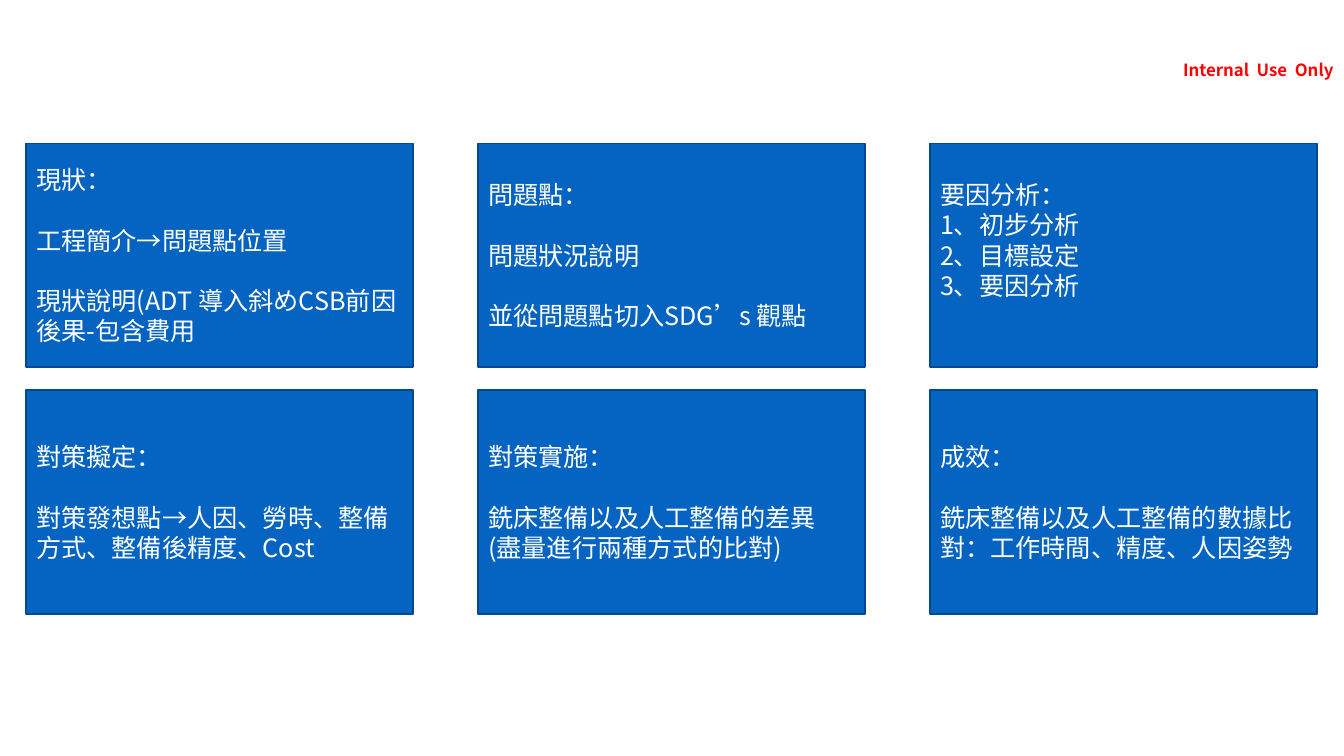
from lxml.etree import SubElement
from pptx import Presentation
from pptx.dml.color import RGBColor
from pptx.enum.shapes import MSO_SHAPE
from pptx.enum.text import MSO_ANCHOR, PP_ALIGN
from pptx.oxml.ns import qn
from pptx.util import Cm, Pt

FONT = "Noto Sans CJK SC"
COLORS = {"fill": "0563C1", "border": "04498F", "text": "FFFFFF", "notice": "FF0000"}
COLUMNS = 3
LEFT, TOP = 0.66, 3.61
WIDTH, HEIGHT = 9.75, 5.64
COLUMN_STEP, ROW_STEP = 11.39, 6.22
GROUP_GAP = Pt(21.6)
BOTTOM_INSET = 0.13

STEPS = [
    ([["現狀："], ["工程簡介→問題點位置"],
      ["現狀說明(ADT 導入斜めCSB前因", "後果-包含費用"]], BOTTOM_INSET),
    ([["問題點："], ["問題狀況說明"], ["並從問題點切入SDG’s 觀點"]], BOTTOM_INSET),
    ([["要因分析：", "1、初步分析", "2、目標設定", "3、要因分析"]], 0.89),
    ([["對策擬定："], ["對策發想點→人因、勞時、整備方式、整備後精度、Cost"]], BOTTOM_INSET),
    ([["對策實施："], ["銑床整備以及人工整備的差異", "(盡量進行兩種方式的比對)"]], BOTTOM_INSET),
    ([["成效："], ["銑床整備以及人工整備的數據比對：工作時間、精度、人因姿勢"]], BOTTOM_INSET),
]


def color(name):
    return RGBColor.from_string(COLORS[name])


def write_paragraph(para, text, size, color_name, align, bold=False):
    para.text = text
    para.alignment = align
    font = para.font
    font.size = Pt(size)
    font.bold = bold
    font.color.rgb = color(color_name)
    font.name = FONT
    properties = para._p.pPr.find(qn("a:defRPr"))
    SubElement(properties, qn("a:ea")).set("typeface", FONT)


def add_notice(page):
    box = page.shapes.add_textbox(Cm(29.46), Cm(1.37), Cm(4.5), Cm(0.76))
    frame = box.text_frame
    frame.word_wrap = False
    frame.vertical_anchor = MSO_ANCHOR.MIDDLE
    write_paragraph(frame.paragraphs[0], "Internal  Use  Only", 12, "notice",
                    PP_ALIGN.CENTER, bold=True)


def add_step(page, left, top, groups, bottom_inset):
    box = page.shapes.add_shape(MSO_SHAPE.RECTANGLE, Cm(left), Cm(top), Cm(WIDTH), Cm(HEIGHT))
    box.shadow.inherit = False
    box.fill.solid()
    box.fill.fore_color.rgb = color("fill")
    box.line.color.rgb = color("border")
    box.line.width = Pt(1)
    frame = box.text_frame
    frame.word_wrap = True
    frame.vertical_anchor = MSO_ANCHOR.MIDDLE
    frame.margin_bottom = Cm(bottom_inset)
    for group_index, lines in enumerate(groups):
        for line_index, text in enumerate(lines):
            first = group_index == line_index == 0
            para = frame.paragraphs[0] if first else frame.add_paragraph()
            write_paragraph(para, text, 18, "text", PP_ALIGN.LEFT)
            if group_index and line_index == 0:
                para.space_before = GROUP_GAP


def main():
    deck = Presentation()
    deck.slide_width, deck.slide_height = Cm(33.87), Cm(19.05)
    page = deck.slides.add_slide(deck.slide_layouts[6])
    add_notice(page)
    for index, (groups, bottom_inset) in enumerate(STEPS):
        row, column = divmod(index, COLUMNS)
        add_step(page, LEFT + column * COLUMN_STEP, TOP + row * ROW_STEP, groups, bottom_inset)
    deck.save("out.pptx")


if __name__ == "__main__":
    main()
